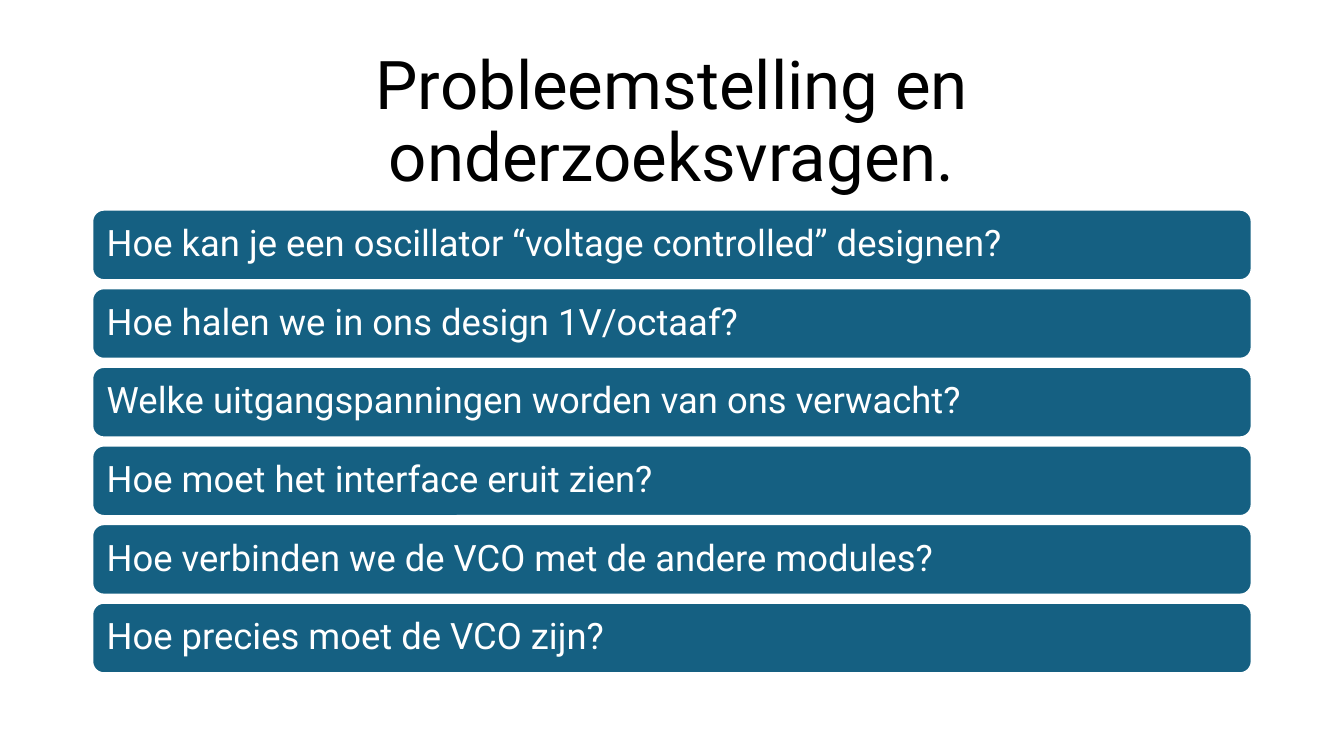
"""Build a slide with a centred title above a stack of question bars."""
from pptx import Presentation
from pptx.dml.color import RGBColor
from pptx.enum.shapes import MSO_SHAPE
from pptx.enum.text import MSO_ANCHOR, PP_ALIGN
from pptx.util import Inches, Pt

ROUNDED = MSO_SHAPE.ROUNDED_RECTANGLE
MIDDLE = MSO_ANCHOR.MIDDLE
LEFT, CENTER = PP_ALIGN.LEFT, PP_ALIGN.CENTER

TITLE = "Probleemstelling en onderzoeksvragen."
QUESTIONS = [
    "Hoe kan je een oscillator “voltage controlled” designen?",
    "Hoe halen we in ons design 1V/octaaf?",
    "Welke uitgangspanningen worden van ons verwacht?",
    "Hoe moet het interface eruit zien?",
    "Hoe verbinden we de VCO met de andere modules?",
    "Hoe precies moet de VCO zijn?",
]
FONT = "Roboto"
BLACK, WHITE, BLUE = "000000", "FFFFFF", "156082"

SLIDE_WIDTH, SLIDE_HEIGHT = 13.33, 7.5
CONTENT_WIDTH = 11.5
MARGIN = (SLIDE_WIDTH - CONTENT_WIDTH) / 2
TITLE_TOP, TITLE_HEIGHT = 0.61, 1.24
BARS_TOP, BAR_HEIGHT, BAR_PITCH = 2.08, 0.7, 0.78
BAR_INSET = 0.11


def color(value):
    """Turn a hex string into a colour."""
    return RGBColor.from_string(value)


def box(top, height):
    """Return the frame of a full-width row."""
    return [Inches(length) for length in (MARGIN, top, CONTENT_WIDTH, height)]


def write(shape, text, size, text_color, alignment):
    """Set one vertically centred paragraph in a shape."""
    frame = shape.text_frame
    frame.word_wrap = True
    frame.vertical_anchor = MIDDLE
    paragraph = frame.paragraphs[0]
    paragraph.text = text
    paragraph.alignment = alignment
    paragraph.line_spacing = 0.9
    paragraph.font.name = FONT
    paragraph.font.size = Pt(size)
    paragraph.font.color.rgb = color(text_color)


def add_question(slide, row, question):
    """Draw one question bar in its row."""
    bar = slide.shapes.add_shape(ROUNDED, *box(BARS_TOP + row * BAR_PITCH, BAR_HEIGHT))
    bar.shadow.inherit = False
    bar.fill.solid()
    bar.fill.fore_color.rgb = color(BLUE)
    bar.line.color.rgb = color(WHITE)
    bar.line.width = Pt(1.5)
    frame = bar.text_frame
    frame.margin_left = frame.margin_right = Inches(BAR_INSET)
    frame.margin_top = frame.margin_bottom = Inches(BAR_INSET)
    write(bar, question, 26, WHITE, LEFT)


def main():
    """Create and save the presentation."""
    presentation = Presentation()
    presentation.slide_width = Inches(SLIDE_WIDTH)
    presentation.slide_height = Inches(SLIDE_HEIGHT)
    slide = presentation.slides.add_slide(presentation.slide_layouts[6])
    title = slide.shapes.add_textbox(*box(TITLE_TOP, TITLE_HEIGHT))
    write(title, TITLE, 48, BLACK, CENTER)
    for row, question in enumerate(QUESTIONS):
        add_question(slide, row, question)
    presentation.save("out.pptx")


if __name__ == "__main__":
    main()
